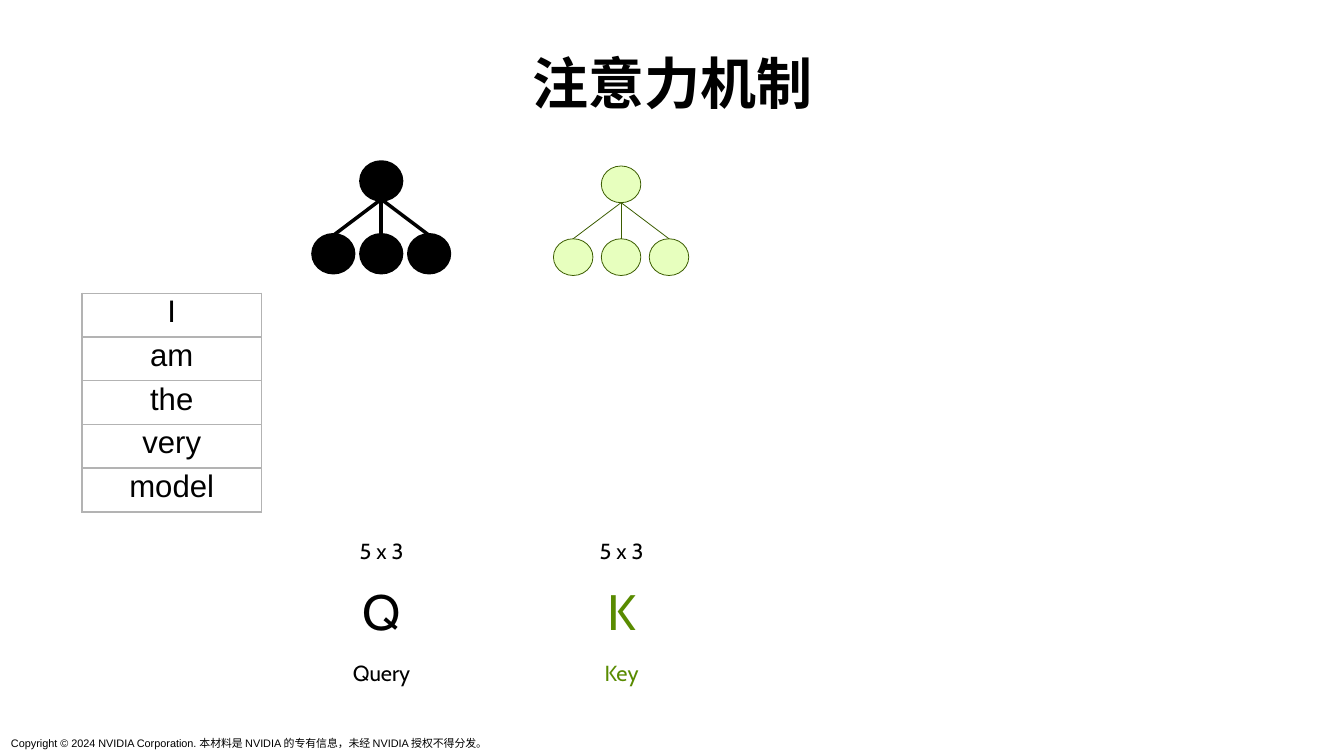
from pptx import Presentation
from pptx.dml.color import RGBColor
from pptx.enum.shapes import MSO_CONNECTOR as CONN, MSO_SHAPE as SHAPE
from pptx.enum.text import MSO_ANCHOR as ANCHOR, PP_ALIGN as ALIGN
from pptx.oxml.ns import qn
from pptx.util import Pt
from lxml.etree import SubElement

BLACK, GREEN, LEAF, MOSS, GREY = "000000", "598B00", "E7FFBE", "3B5C00", "B3B3B3"
CJK = "Noto Sans CJK SC"
WORDS = ["I", "am", "the", "very", "model"]


def color(value):
    """Turn a hex string into a colour."""
    return RGBColor.from_string(value)


def write(tf, text, size=14, font="Cabin", fill=BLACK, bold=False,
          align=ALIGN.CENTER, spacing=None):
    """Put one formatted paragraph into a text frame."""
    p = tf.paragraphs[0]
    p.alignment = align
    if spacing:
        p.line_spacing = spacing
    r = p.add_run()
    r.text = text
    r.font.size, r.font.name, r.font.bold = Pt(size), font, bold
    r.font.color.rgb = color(fill)
    SubElement(r.font._element, qn("a:ea"), typeface=CJK)


def add_text(s, box, text, anchor=ANCHOR.MIDDLE, wrap=True, **fmt):
    """Add a text box with one paragraph."""
    tf = s.shapes.add_textbox(*map(Pt, box)).text_frame
    tf.word_wrap = wrap
    tf.vertical_anchor = anchor
    write(tf, text, **fmt)


def add_node(group, cx, cy, fill, line, weight):
    """Add one ellipse centred on a point."""
    w, h = 25.4, 23.6
    sp = group.shapes.add_shape(SHAPE.OVAL, Pt(cx - w / 2), Pt(cy - h / 2), Pt(w), Pt(h))
    sp.shadow.inherit = False
    sp.fill.solid()
    sp.fill.fore_color.rgb = color(fill)
    sp.line.color.rgb = color(line)
    sp.line.width = Pt(weight)


def add_tree(s, box, fill, line, outline, branch):
    """Draw a root node joined to three child nodes."""
    left, top, width, height = box
    cx, half = left + width / 2, 11.8
    group = s.shapes.add_group_shape()
    children = [cx + step * 30.8 for step in (-1, 0, 1)]
    add_node(group, cx, top + half, fill, line, outline)
    for x in children:
        add_node(group, x, top + height - half, fill, line, outline)
    for x in children:
        link = group.shapes.add_connector(CONN.STRAIGHT, Pt(cx), Pt(top + 2 * half),
                                          Pt(x), Pt(top + height - 2 * half))
        link.line.color.rgb = color(line)
        link.line.width = Pt(branch)
        SubElement(link._element.spPr, qn("a:effectLst"))


def add_labels(s, box, letter, name, fill):
    """Stack the matrix size, its letter and its name."""
    left, top, width, _ = box
    rows = [("5 x 3", 0, 22.3, 14, BLACK), (letter, 29.5, 42.5, 32, fill),
            (name, 78.5, 22.3, 14, fill)]
    for text, dy, height, size, ink in rows:
        add_text(s, (left, top + dy, width, height), text,
                 size=size, fill=ink, spacing=0.9)


def add_border(cell):
    """Draw a thin grey line on every side of a cell."""
    pr = cell._tc.get_or_add_tcPr()
    for i, side in enumerate(("lnL", "lnR", "lnT", "lnB")):
        ln = SubElement(pr, qn(f"a:{side}"), w=str(Pt(1)))
        SubElement(SubElement(ln, qn("a:solidFill")), qn("a:srgbClr"), val=GREY)
        pr.insert(i, ln)


def add_words(s, box, words):
    """Add the one-column table of tokens."""
    table = s.shapes.add_table(len(words), 1, *map(Pt, box)).table
    table.first_row = table.horz_banding = False
    for row, word in zip(table.rows, words):
        row.height = Pt(box[3] / len(words))
        cell = row.cells[0]
        cell.margin_left = cell.margin_right = Pt(2)
        cell.margin_top = cell.margin_bottom = Pt(0.8)
        cell.fill.background()
        write(cell.text_frame, word, size=20, font="Arial")
        add_border(cell)


def main():
    """Build and save the slide."""
    prs = Presentation()
    prs.slide_width, prs.slide_height = Pt(864), Pt(486)
    s = prs.slides.add_slide(prs.slide_layouts[6])
    add_text(s, (39.6, 31.7, 785.5, 46.8), "注意力机制", anchor=ANCHOR.BOTTOM,
             size=36, font=CJK, bold=True, spacing=0.9)
    add_tree(s, (355.8, 106.7, 87, 70.4), LEAF, MOSS, 0.5, 0.5)
    add_tree(s, (201.6, 104.5, 87, 70.4), BLACK, BLACK, 3, 2.25)
    add_labels(s, (198.5, 344.2, 93.6, 101), "Q", "Query", BLACK)
    add_labels(s, (352.8, 344.2, 93.6, 101), "K", "Key", GREEN)
    add_words(s, (52.8, 188.6, 115.2, 140.5), WORDS)
    add_text(s, (0, 470.2, 326.2, 15.8),
             "Copyright © 2024 NVIDIA Corporation. 本材料是 NVIDIA 的专有信息，未经 NVIDIA 授权不得分发。",
             anchor=ANCHOR.TOP, size=7, font="Arial", align=ALIGN.LEFT)
    prs.save("out.pptx")


if __name__ == "__main__":
    main()
